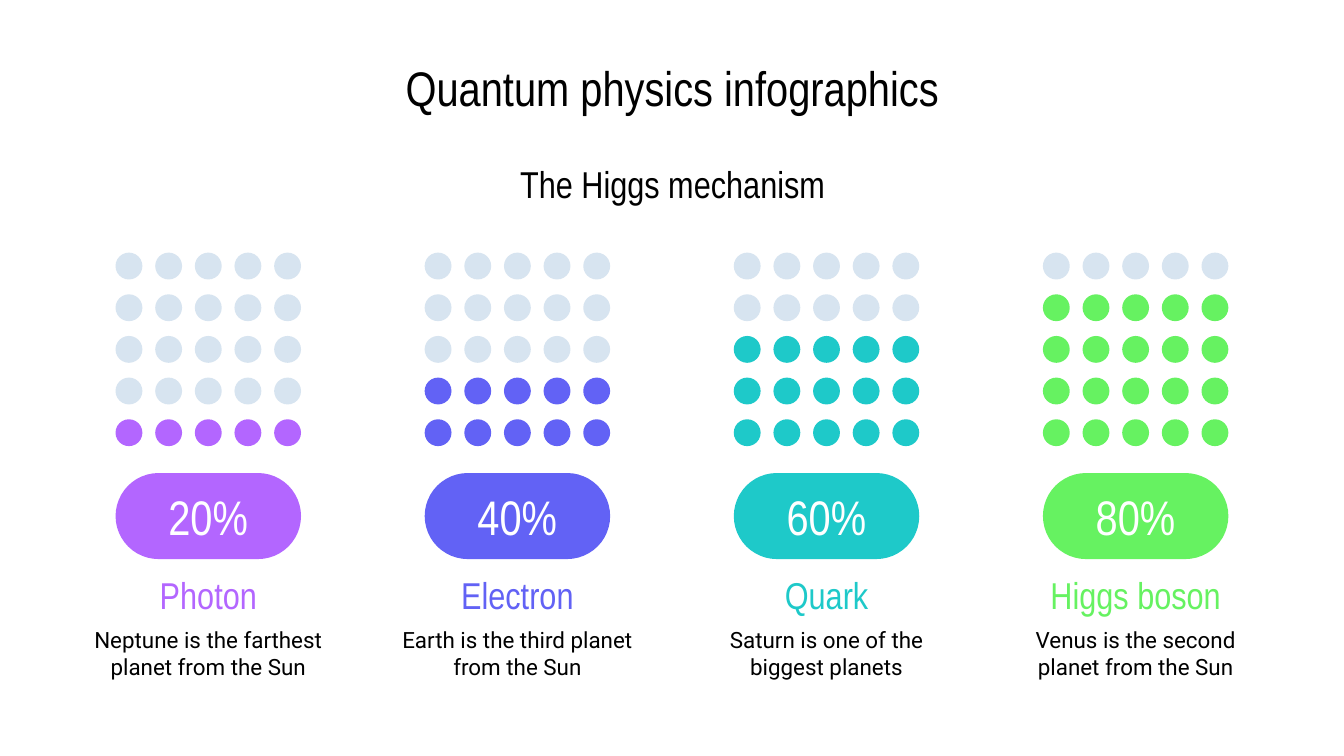
"""Build the quantum physics slide with four dot-grid percentages."""
from pptx import Presentation
from pptx.dml.color import RGBColor
from pptx.enum.shapes import MSO_SHAPE
from pptx.enum.text import MSO_ANCHOR, MSO_AUTO_SIZE, PP_ALIGN
from pptx.util import Inches, Pt

PURPLE = RGBColor(0xB3, 0x66, 0xFF)
BLUE = RGBColor(0x62, 0x62, 0xF5)
TEAL = RGBColor(0x1E, 0xC9, 0xC9)
GREEN = RGBColor(0x66, 0xF2, 0x61)
PALE = RGBColor(0xD7, 0xE4, 0xF0)
BLACK = RGBColor(0, 0, 0)
WHITE = RGBColor(0xFF, 0xFF, 0xFF)

HEAD, BODY = "Arial Narrow", "Roboto"
PARTICLES = [
    ("Photon", 20, PURPLE, "Neptune is the farthest planet from the Sun"),
    ("Electron", 40, BLUE, "Earth is the third planet from the Sun"),
    ("Quark", 60, TEAL, "Saturn is one of the biggest planets"),
    ("Higgs boson", 80, GREEN, "Venus is the second planet from the Sun"),
]
FRAME = {
    "word_wrap": True,
    "auto_size": MSO_AUTO_SIZE.NONE,
    "vertical_anchor": MSO_ANCHOR.MIDDLE,
    "margin_left": Inches(0.1),
    "margin_right": Inches(0.1),
    "margin_top": Inches(0.1),
    "margin_bottom": Inches(0.1),
}
GRID = 5
PILL_W, DOT = 1.38, 0.2
STEP_X, STEP_Y = (PILL_W - DOT) / (GRID - 1), 0.31


def write(sp, text, size, color, font=HEAD):
    tf = sp.text_frame
    for name, value in FRAME.items():
        setattr(tf, name, value)
    p = tf.paragraphs[0]
    p.alignment = PP_ALIGN.CENTER
    r = p.add_run()
    r.text = text
    for name, value in {"size": Pt(size), "name": font, "bold": False}.items():
        setattr(r.font, name, value)
    r.font.color.rgb = color


def add_filled(shapes, kind, x, y, w, h, color):
    sp = shapes.add_shape(kind, Inches(x), Inches(y), Inches(w), Inches(h))
    sp.shadow.inherit = False
    sp.fill.solid()
    sp.fill.fore_color.rgb = color
    sp.line.fill.background()
    return sp


prs = Presentation()
prs.slide_width, prs.slide_height = Inches(10), Inches(10 * 9 / 16)
s = prs.slides.add_slide(prs.slide_layouts[5])

title = s.shapes.title
title.left, title.top = Inches(2.2), Inches(0.33)
title.width, title.height = Inches(5.61), Inches(0.63)
write(title, "Quantum physics infographics", 26, BLACK)

subtitle = s.shapes.add_textbox(Inches(2.2), Inches(1.18), Inches(5.61), Inches(0.37))
write(subtitle, "The Higgs mechanism", 20, BLACK)

for col, (particle, percent, color, note) in enumerate(PARTICLES):
    left = 0.49 + 2.3 * col
    grid_left = left + 0.37

    name_box = s.shapes.add_textbox(Inches(left), Inches(4.24), Inches(2.12), Inches(0.37))
    write(name_box, particle, 20, color)
    note_box = s.shapes.add_textbox(Inches(left), Inches(4.58), Inches(2.12), Inches(0.56))
    write(note_box, note, 12, BLACK, BODY)

    pill = add_filled(s.shapes, MSO_SHAPE.ROUNDED_RECTANGLE, grid_left, 3.52, PILL_W, 0.64, color)
    pill.adjustments[0] = 0.5
    write(pill, f"{percent}%", 26, WHITE)

    empty_rows = GRID - percent * GRID // 100
    for row in range(GRID):
        dots = s.shapes.add_group_shape().shapes
        dot_color = PALE if row < empty_rows else color
        for i in range(GRID):
            add_filled(dots, MSO_SHAPE.OVAL, grid_left + i * STEP_X, 1.88 + row * STEP_Y,
                       DOT, DOT, dot_color)

prs.save("out.pptx")
